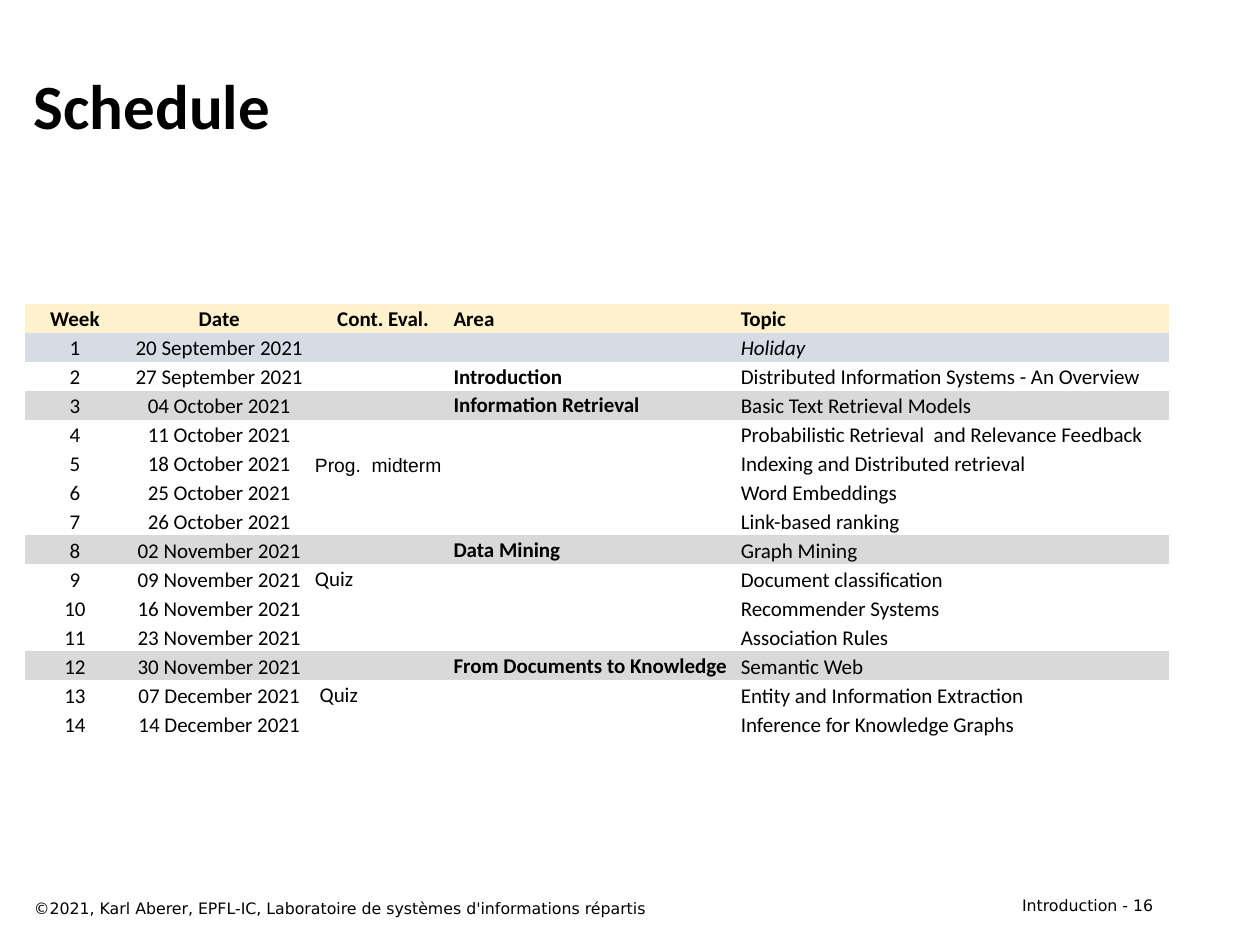
from dataclasses import dataclass

import lxml.etree
import pptx
import pptx.dml.color
import pptx.enum.text
import pptx.oxml.ns
import pptx.util

Inches = pptx.util.Inches
Align = pptx.enum.text.PP_ALIGN
Anchor = pptx.enum.text.MSO_ANCHOR

HEADER, HOLIDAY, AREA_START = "FFF2CC", "D6DCE4", "D9D9D9"
PLAIN_STYLE = "{2D5ABB26-0587-4C30-8999-92F81FD0307C}"  # no style, no grid
COLUMN_WIDTHS = (0.79, 1.5, 1.1, 2.28, 3.41)
ROW_HEIGHT = 0.23


@dataclass
class Week:
    date: str
    topic: str
    area: str = ""
    evaluation: str = ""
    fill: str = ""


@dataclass
class Font:
    name: str = "Calibri"
    size: float = 12
    bold: bool = False
    italic: bool = False


@dataclass
class Label:
    text: str
    left: float
    top: float
    width: float
    height: float
    font: Font
    align: Align = Align.LEFT
    anchor: Anchor = Anchor.TOP


WEEKS = [
    Week("20 September 2021", "Holiday", fill=HOLIDAY),
    Week("27 September 2021", "Distributed Information Systems - An Overview", "Introduction"),
    Week("04 October 2021", "Basic Text Retrieval Models", "Information Retrieval", fill=AREA_START),
    Week("11 October 2021", "Probabilistic Retrieval  and Relevance Feedback"),
    Week("18 October 2021", "Indexing and Distributed retrieval", evaluation="Prog.  midterm"),
    Week("25 October 2021", "Word Embeddings"),
    Week("26 October 2021", "Link-based ranking", fill="FFFFFF"),
    Week("02 November 2021", "Graph Mining", "Data Mining ", fill=AREA_START),
    Week("09 November 2021", "Document classification", evaluation="Quiz"),
    Week("16 November 2021", "Recommender Systems"),
    Week("23 November 2021", "Association Rules"),
    Week("30 November 2021", "Semantic Web", "From Documents to Knowledge", fill=AREA_START),
    Week("07 December 2021", "Entity and Information Extraction", evaluation=" Quiz"),
    Week("14 December 2021", "Inference for Knowledge Graphs"),
]

FOOTER_FONT = Font("DejaVu Sans", 9)
LABELS = [
    Label("Introduction - 16", 7.17, 7.06, 2.08, 0.25, FOOTER_FONT, Align.RIGHT),
    Label("Schedule", 0.17, 0.33, 9.08, 1, Font(size=36, bold=True), anchor=Anchor.MIDDLE),
    Label("©2021, Karl Aberer, EPFL-IC, Laboratoire de systèmes d'informations répartis",
          0.17, 7.08, 6.42, 0.25, FOOTER_FONT),
]


def color(value: str) -> pptx.dml.color.RGBColor:
    return pptx.dml.color.RGBColor.from_string(value)


def write(paragraph, text: str, font: Font, align: Align) -> None:
    paragraph.text = text
    paragraph.alignment = align
    paragraph.font.name = font.name
    paragraph.font.size = pptx.util.Pt(font.size)
    paragraph.font.bold = font.bold
    paragraph.font.italic = font.italic
    paragraph.font.color.rgb = color("000000")
    if not text:  # keeps an empty cell from stretching its row
        end = lxml.etree.SubElement(paragraph._p, pptx.oxml.ns.qn("a:endParaRPr"))
        end.set("sz", str(int(font.size * 100)))


def add_label(slide, label: Label) -> None:
    shape = slide.shapes.add_textbox(Inches(label.left), Inches(label.top),
                                     Inches(label.width), Inches(label.height))
    frame = shape.text_frame
    frame.word_wrap = True
    frame.vertical_anchor = label.anchor
    write(frame.paragraphs[0], label.text, label.font, label.align)


def fill_cell(cell, text: str, font: Font, align: Align, fill: str, bottom: float) -> None:
    cell.margin_left = cell.margin_right = cell.margin_top = Inches(0.01)
    cell.margin_bottom = Inches(bottom)
    cell.vertical_anchor = Anchor.BOTTOM
    if fill:
        cell.fill.solid()
        cell.fill.fore_color.rgb = color(fill)
    else:
        cell.fill.background()
    write(cell.text_frame.paragraphs[0], text, font, align)


def cell_font(column: int, text: str, fill: str) -> Font:
    if text == "Prog.  midterm":
        return Font("Arial", 11)
    return Font(bold=fill == HEADER or column == 3,
                italic=fill == HOLIDAY and column == 4)


def add_schedule(slide) -> None:
    rows = [("Week", "Date", "Cont. Eval.", "Area", "Topic", HEADER)]
    rows += [(str(number), week.date, week.evaluation, week.area, week.topic, week.fill)
             for number, week in enumerate(WEEKS, 1)]
    frame = slide.shapes.add_table(len(rows), len(COLUMN_WIDTHS), Inches(0.2), Inches(2.41),
                                   Inches(sum(COLUMN_WIDTHS)), Inches(ROW_HEIGHT * len(rows)))
    table = frame.table
    table.first_row = table.horz_banding = False
    table._tbl.tblPr.find(pptx.oxml.ns.qn("a:tableStyleId")).text = PLAIN_STYLE
    for column, width in zip(table.columns, COLUMN_WIDTHS):
        column.width = Inches(width)

    for row, (*texts, fill) in enumerate(rows):
        table.rows[row].height = Inches(ROW_HEIGHT)
        for column, text in enumerate(texts):
            centred = column < 2 or (row == 0 and column == 2)
            raised = column in (2, 3) and row > 0 and text != "Introduction"
            fill_cell(table.cell(row, column), text, cell_font(column, text, fill),
                      Align.CENTER if centred else Align.LEFT, fill, 0.01 if raised else 0)

    # The last week joins evaluation and area
    last = len(rows) - 1
    table.cell(last, 2).merge(table.cell(last, 3))


def main() -> None:
    presentation = pptx.Presentation()
    presentation.slide_width, presentation.slide_height = Inches(10), Inches(7.5)
    slide = presentation.slides.add_slide(presentation.slide_layouts[6])
    # Title and footer
    for label in LABELS:
        add_label(slide, label)
    # Timetable
    add_schedule(slide)
    presentation.save("out.pptx")


if __name__ == "__main__":
    main()
